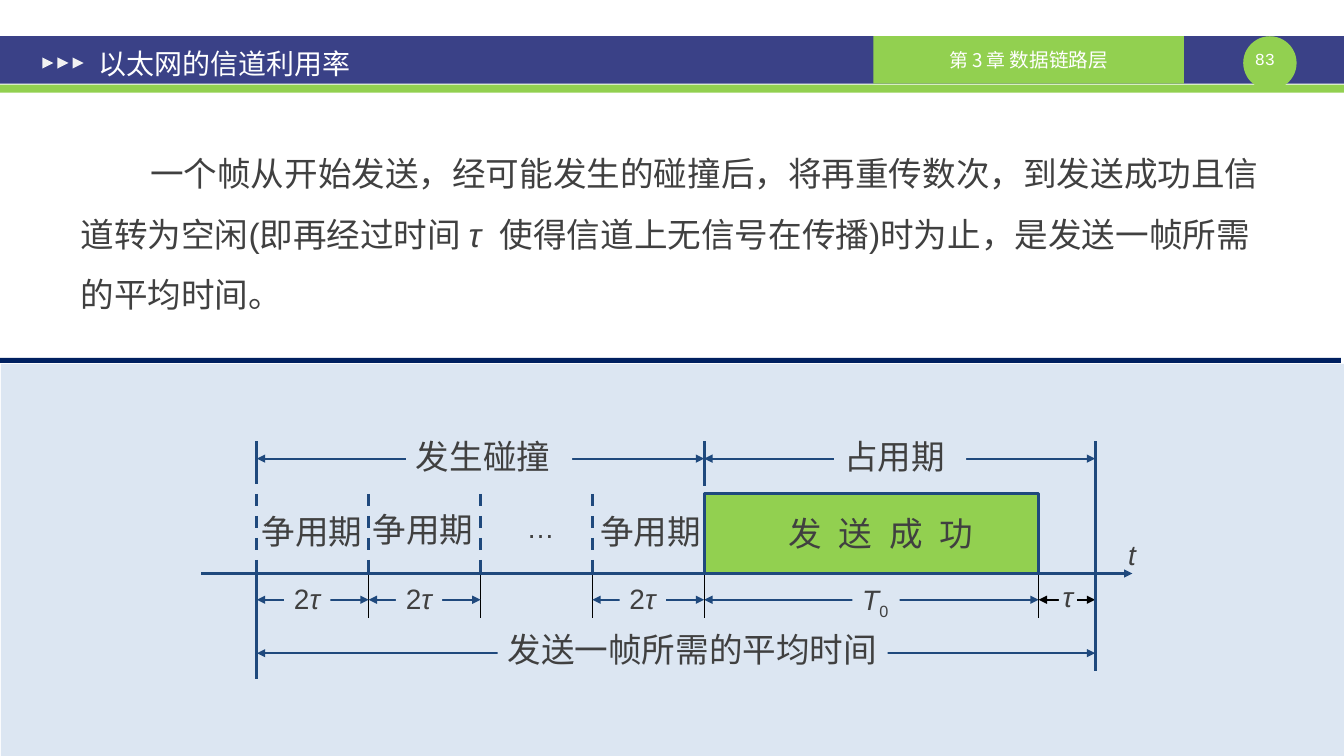
from lxml import etree
from pptx import Presentation
from pptx.dml.color import RGBColor
from pptx.enum.dml import MSO_LINE
from pptx.enum.shapes import MSO_CONNECTOR, MSO_SHAPE
from pptx.enum.text import MSO_ANCHOR, MSO_AUTO_SIZE, PP_ALIGN
from pptx.oxml.ns import qn
from pptx.util import Inches, Pt

WIDTH, HEIGHT = 13.34, 7.5
RECTANGLE, OVAL, TRIANGLE = MSO_SHAPE.RECTANGLE, MSO_SHAPE.OVAL, MSO_SHAPE.ISOSCELES_TRIANGLE
STRAIGHT, DASH = MSO_CONNECTOR.STRAIGHT, MSO_LINE.DASH
LEFT, CENTER = PP_ALIGN.LEFT, PP_ALIGN.CENTER
TOP, MIDDLE = MSO_ANCHOR.TOP, MSO_ANCHOR.MIDDLE
FIT_SHAPE = MSO_AUTO_SIZE.SHAPE_TO_FIT_TEXT

INDIGO, GREEN, NAVY, PANEL = "3A4187", "92D050", "002060", "DCE6F2"
BLUE, BLACK, WHITE, PALE, GRAY = "1F497D", "000000", "FFFFFF", "F2F2F2", "404040"
LATIN, CJK, MONO = "Arial", "Noto Sans CJK SC", "Courier New"

# Time axis: four contention slots, then the frame, then the propagation delay
SLOT = 1.11
TICKS = [2.55 + SLOT * slot for slot in range(5)]
START, SENDING = TICKS[0], TICKS[-1]
SENT, IDLE = 10.31, 10.87
BRACKET_TOP, PHASE_ROW, SLOT_TOP = 4.38, 4.55, 4.9
AXIS, TICK_BOTTOM, DURATION_ROW, TOTAL_ROW = 5.69, 6.13, 5.95, 6.48


def color(value):
    return RGBColor.from_string(value)


def add_block(slide, kind, left, top, width, height, fill):
    shape = slide.shapes.add_shape(kind, Inches(left), Inches(top), Inches(width), Inches(height))
    shape.shadow.inherit = False
    shape.fill.solid()
    shape.fill.fore_color.rgb = color(fill)
    shape.line.fill.background()
    return shape


def add_line(slide, x1, y1, x2, y2, weight, stroke=BLUE, dash=None, ends=()):
    """Ends lists the arrowheads: headEnd at the start, tailEnd at the finish."""
    line = slide.shapes.add_connector(STRAIGHT, Inches(x1), Inches(y1), Inches(x2), Inches(y2))
    line.line.width = Pt(weight)
    line.line.color.rgb = color(stroke)
    if dash:
        line.line.dash_style = dash
    for end in ends:
        etree.SubElement(line.line._get_or_add_ln(), qn(f"a:{end}"), type="triangle")
    etree.SubElement(line._element.spPr, qn("a:effectLst"))


def add_span(slide, start, finish, row, stroke=BLUE):
    add_line(slide, start, row, finish, row, 1.5, stroke, ends=("headEnd", "tailEnd"))


def write(shape, runs, size, ink=GRAY, font=LATIN, align=LEFT, anchor=TOP, insets=(0.1, 0.05)):
    """Each run is (text, properties); i is italic, spc is letter spacing, baseline lowers."""
    frame = shape.text_frame
    frame.word_wrap = True
    frame.vertical_anchor = anchor
    frame.margin_left = frame.margin_right = Inches(insets[0])
    frame.margin_top = frame.margin_bottom = Inches(insets[1])
    paragraph = frame.paragraphs[0]
    paragraph.alignment = align
    for text, properties in runs:
        run = paragraph.add_run()
        run.text = text
        run.font.size = Pt(size)
        run.font.name = font
        run.font.color.rgb = color(ink)
        run_properties = run.font._element
        etree.SubElement(run_properties, qn("a:ea"), typeface=CJK)
        for name, value in properties.items():
            run_properties.set(name, value)
    return paragraph


def add_text(slide, left, top, width, height, runs, size, **style):
    box = slide.shapes.add_textbox(Inches(left), Inches(top), Inches(width), Inches(height))
    return write(box, runs, size, **style)


def add_label(slide, left, top, width, runs, size=24, fill=None):
    """Unwrapped diagram label; a fill hides the line behind it."""
    height = 0.5 if size == 24 else 0.44
    box = slide.shapes.add_textbox(Inches(left), Inches(top), Inches(width), Inches(height))
    if fill:
        box.fill.solid()
        box.fill.fore_color.rgb = color(fill)
    write(box, runs, size)
    box.text_frame.word_wrap = False
    box.text_frame.auto_size = FIT_SHAPE


def add_header(slide):
    add_block(slide, RECTANGLE, 0, 0.36, WIDTH, 0.47, INDIGO)
    add_block(slide, RECTANGLE, 0, 0.84, WIDTH, 0.08, GREEN)
    add_block(slide, OVAL, 12.34, 0.36, 0.53, 0.53, GREEN)
    add_text(slide, 12.34, 0.48, 0.53, 0.2, [("83 ", {})], 12, ink=WHITE, font=MONO,
             align=CENTER, insets=(0, 0))
    chapter = add_block(slide, RECTANGLE, 8.67, 0.36, 3.08, 0.47, GREEN)
    write(chapter, [("第 3 章 ", {"sz": "1350"}), ("数据链路层", {})], 14, ink=WHITE, font=CJK,
          align=CENTER, anchor=MIDDLE)
    for index in range(3):
        marker = add_block(slide, TRIANGLE, 0.42 + 0.15 * index, 0.57, 0.11, 0.11, PALE)
        marker.rotation = 90
    add_text(slide, 0.85, 0.39, 5.83, 0.47, [("以太网的信道利用率", {})], 20, ink=WHITE,
             anchor=MIDDLE, insets=(0.13, 0.07))


def add_definition(slide):
    runs = [
        ("一个帧从开始发送，经可能发生的碰撞后，将再重传数次，到发送成功且信道转为空闲(即再经过时间 ", {}),
        ("τ ", {"i": "1", "spc": "330"}),
        ("使得信道上无信号在传播)时为止，是发送一帧所需的平均时间。", {}),
    ]
    paragraph = add_text(slide, 0.67, 1.25, 12.01, 5.5, runs, 24, insets=(0.13, 0.07))
    paragraph.line_spacing = 1.5
    paragraph.space_before = Pt(4.8)
    paragraph._p.get_or_add_pPr().set("indent", str(Inches(0.69)))


def add_frame_block(slide):
    """Green block of the successful transmission, open along the axis."""
    builder = slide.shapes.build_freeform(Inches(SENDING), Inches(AXIS))
    corners = [(SENDING, SLOT_TOP), (SENT, SLOT_TOP), (SENT, AXIS)]
    builder.add_line_segments([(Inches(x), Inches(y)) for x, y in corners], close=False)
    block = builder.convert_to_shape()
    block.shadow.inherit = False
    block.fill.solid()
    block.fill.fore_color.rgb = color(GREEN)
    block.line.color.rgb = color(BLUE)
    block.line.width = Pt(2.25)
    add_label(slide, 7.73, 5.04, 2.25, [("发 送 成 功", {"spc": "330"})])


def add_timeline(slide):
    add_span(slide, START, IDLE, TOTAL_ROW)
    add_span(slide, START, SENDING, PHASE_ROW)
    add_span(slide, SENDING, IDLE, PHASE_ROW)
    add_span(slide, SENT, IDLE, DURATION_ROW, BLACK)
    add_block(slide, RECTANGLE, 10.51, 5.85, 0.18, 0.23, PANEL)
    add_span(slide, SENDING, SENT, DURATION_ROW)
    add_frame_block(slide)

    for tick in TICKS[:-1]:
        add_line(slide, tick, SLOT_TOP, tick, AXIS, 2.25, dash=DASH)
    for tick in TICKS[1:] + [SENT]:
        add_line(slide, tick, AXIS, tick, TICK_BOTTOM, 0.75, BLACK)
    for x, top, bottom in [(START, BRACKET_TOP, 4.8), (START, AXIS, 6.74),
                           (SENDING, BRACKET_TOP, 4.82), (IDLE, BRACKET_TOP, 6.66)]:
        add_line(slide, x, top, x, bottom, 2.25)

    for slot, left, top in [(0, 2.5, 5.02), (1, 3.6, 5), (3, 5.86, 5.02)]:
        add_span(slide, TICKS[slot], TICKS[slot + 1], DURATION_ROW)
        add_label(slide, left, top, 1.31, [("争用期", {})])
        add_label(slide, TICKS[slot] + 0.27, 5.72, 0.46, [("2", {}), ("τ", {"i": "1"})], 20, PANEL)
    add_label(slide, 5.13, 5.02, 0.48, [("…", {})], 20)

    add_label(slide, 8.46, 5.73, 0.47, [("T", {"i": "1"}), ("0", {"baseline": "-25000"})], 20, PANEL)
    add_label(slide, 10.45, 5.7, 0.31, [("τ", {"i": "1"})], 20)
    add_label(slide, 11.1, 5.28, 0.28, [("t", {"i": "1"})], 20)
    add_label(slide, 8.28, 4.28, 1.31, [("占用期", {})], fill=PANEL)
    add_label(slide, 4.03, 4.28, 1.65, [("发生碰撞", {})], fill=PANEL)
    add_label(slide, 4.94, 6.19, 3.87, [("发送一帧所需的平均时间", {})], fill=PANEL)
    add_line(slide, 2, AXIS, 11.24, AXIS, 1.5, ends=("tailEnd",))


def main():
    presentation = Presentation()
    presentation.slide_width = Inches(WIDTH)
    presentation.slide_height = Inches(HEIGHT)
    slide = presentation.slides.add_slide(presentation.slide_layouts[6])
    add_header(slide)
    add_block(slide, RECTANGLE, 0.01, 3.61, WIDTH - 0.01, HEIGHT - 3.61, PANEL)
    add_block(slide, RECTANGLE, 0, 3.55, 13.31, 0.05, NAVY)
    add_definition(slide)
    add_timeline(slide)
    presentation.save("out.pptx")


if __name__ == "__main__":
    main()
